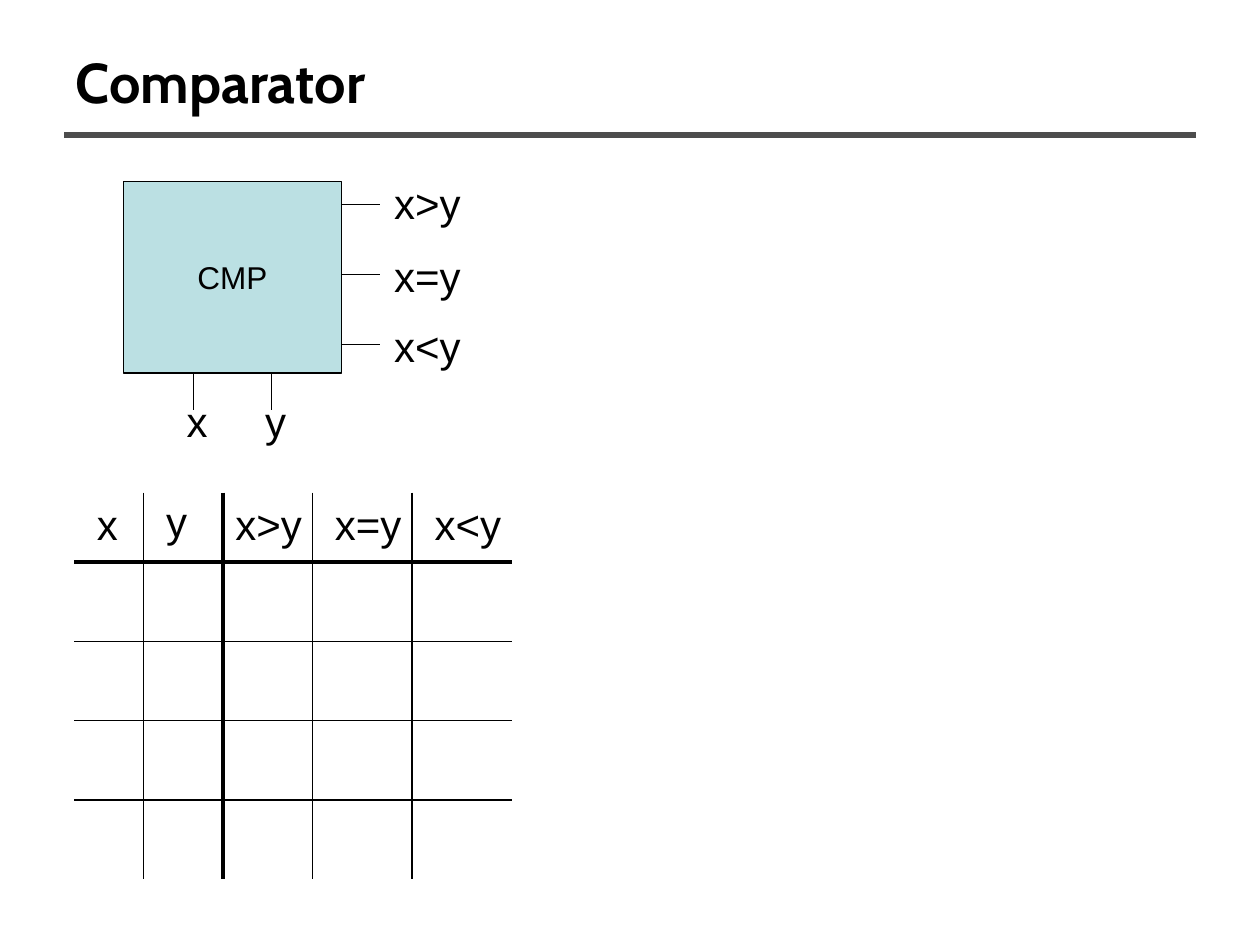
from dataclasses import dataclass
from itertools import accumulate

from lxml.etree import SubElement
from pptx import Presentation
from pptx.dml.color import RGBColor
from pptx.enum.shapes import MSO_CONNECTOR as Conn, MSO_SHAPE as Shape
from pptx.enum.text import MSO_ANCHOR as Anchor, MSO_AUTO_SIZE as AutoSize, PP_ALIGN as Align
from pptx.oxml.ns import qn
from pptx.util import Inches, Pt


@dataclass(frozen=True)
class Theme:
    ink: RGBColor = RGBColor(0, 0, 0)
    rule: RGBColor = RGBColor(0x4D, 0x4D, 0x4D)
    block: RGBColor = RGBColor(0xBB, 0xE0, 0xE3)
    title_font: str = "Cabin"
    body_font: str = "Arial"
    title_size: float = 32
    label_size: float = 24
    block_size: float = 18
    thin: float = 0.75
    bold: float = 2.25
    heavy: float = 3


@dataclass(frozen=True)
class Box:
    x: float
    y: float
    w: float
    h: float

    def inches(self):
        return [Inches(v) for v in (self.x, self.y, self.w, self.h)]

    def across(self, share):
        return self.x + share * self.w

    def down(self, share):
        return self.y + share * self.h


THEME = Theme()
OUTPUTS = ["x>y", "x=y", "x<y"]
INPUTS = ["x", "y"]
LABEL_H = 0.5


def add_run(p, text, size, font=THEME.body_font, bold=False):
    r = p.add_run()
    r.text = text
    r.font.name, r.font.size, r.font.bold = font, Pt(size), bold
    r.font.color.rgb = THEME.ink


def add_line(slide, x1, y1, x2, y2, width=THEME.thin, color=THEME.ink):
    line = slide.shapes.add_connector(
        Conn.STRAIGHT, Inches(x1), Inches(y1), Inches(x2), Inches(y2))
    line.line.width = Pt(width)
    line.line.color.rgb = color
    SubElement(line._element.spPr, qn("a:effectLst"))


def add_label(slide, text, x, y, w):
    tf = slide.shapes.add_textbox(*Box(x, y, w, LABEL_H).inches()).text_frame
    tf.word_wrap = True
    tf.auto_size = AutoSize.SHAPE_TO_FIT_TEXT
    add_run(tf.paragraphs[0], text, THEME.label_size)


def add_title(slide, box, text):
    sp = slide.shapes.title
    sp.left, sp.top, sp.width, sp.height = box.inches()
    tf = sp.text_frame
    tf.vertical_anchor = Anchor.MIDDLE
    p = tf.paragraphs[0]
    p.alignment = Align.LEFT
    add_run(p, text, THEME.title_size, THEME.title_font, bold=True)
    # Rule below the title
    y = box.down(1.12)
    add_line(slide, box.x + 0.01, y, box.across(1) - 0.01, y, THEME.heavy, THEME.rule)


def add_comparator(slide, box):
    right, bottom = box.across(1), box.down(1)

    # Input pins and their names
    for name, share in zip(INPUTS, (0.32, 0.68)):
        x = box.across(share)
        add_line(slide, x, bottom + 0.29, x, bottom - 0.03)
        add_label(slide, name, x - 0.15, bottom + 0.13, 0.32)

    # Output pins and their names
    for name, share, rise in zip(OUTPUTS, (0.12, 0.485, 0.85), (0.26, 0.24, 0.24)):
        y = box.down(share)
        add_line(slide, right, y, right + 0.31, y)
        add_label(slide, name, right + 0.32, y - rise, 0.79)

    # Block
    sp = slide.shapes.add_shape(Shape.RECTANGLE, *box.inches())
    sp.shadow.inherit = False
    sp.fill.solid()
    sp.fill.fore_color.rgb = THEME.block
    sp.line.color.rgb = THEME.ink
    sp.line.width = Pt(THEME.thin)
    tf = sp.text_frame
    tf.word_wrap = False
    tf.vertical_anchor = Anchor.MIDDLE
    p = tf.paragraphs[0]
    p.alignment = Align.CENTER
    add_run(p, "CMP", THEME.block_size)


def add_truth_table(slide, box):
    widths = (0.55, 0.63, 0.71, 0.79, 0.79)
    edges = list(accumulate(widths, initial=box.x))
    header_h, rows = 0.55, 4
    row_h = (box.h - header_h) / rows

    # Row rules, the first one under the header
    for i in range(rows):
        y = box.y + header_h + i * row_h
        add_line(slide, box.x, y, box.across(1), y, THEME.thin if i else THEME.bold)

    # Column rules, the bold one between inputs and outputs
    for i, x in enumerate(edges[1:-1], 1):
        width = THEME.bold if i == len(INPUTS) else THEME.thin
        add_line(slide, x, box.y, x, box.down(1), width)

    # Header names
    insets = (0.08, 0.08, 0, 0.08, 0.08)
    rises = (0, 0.03, 0, 0, 0)
    for name, x, inset, rise in zip(INPUTS + OUTPUTS, edges, insets, rises):
        add_label(slide, name, x + inset, box.y - rise, 0.39 if name in INPUTS else 0.79)


def main():
    prs = Presentation()
    prs.slide_width, prs.slide_height = Inches(10), Inches(7.5)
    slide = prs.slides.add_slide(prs.slide_layouts.get_by_name("Title Only"))
    add_title(slide, Box(0.5, 0.3, 9, 0.69), "Comparator")
    add_comparator(slide, Box(0.98, 1.44, 1.73, 1.52))
    add_truth_table(slide, Box(0.59, 3.91, 3.47, 3.07))
    prs.save("out.pptx")


if __name__ == "__main__":
    main()
